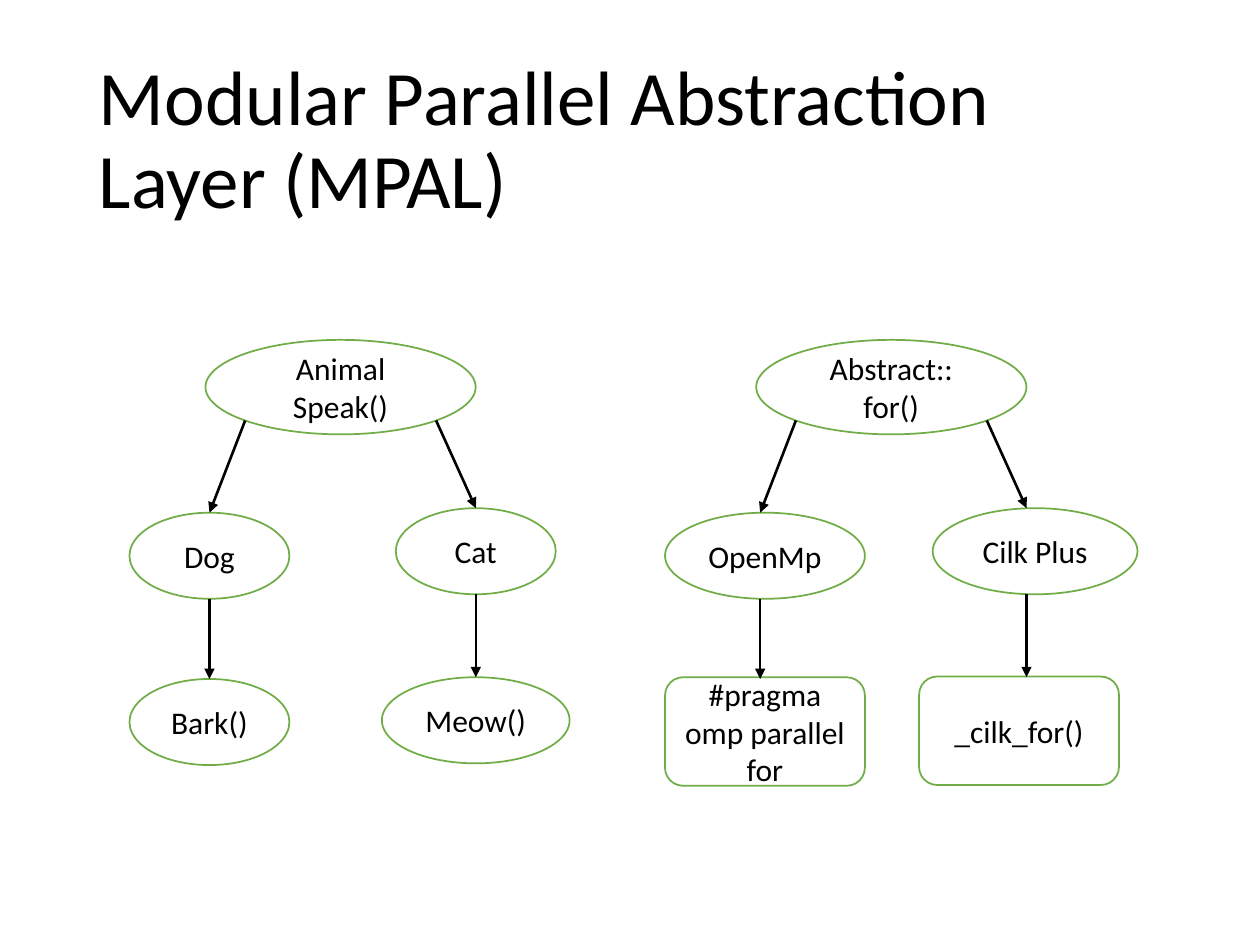
from lxml import etree
from pptx import Presentation
from pptx.dml.color import RGBColor
from pptx.enum import shapes, text
from pptx.oxml import ns
from pptx.util import Pt

FONT = "Calibri"
BLACK, WHITE, GREEN = "000000", "FFFFFF", "70AD47"
OVAL = shapes.MSO_SHAPE.OVAL
ROUNDED = shapes.MSO_SHAPE.ROUNDED_RECTANGLE
TREE_OFFSET = 314.7  # from the animal tree to the parallel tree

# Label, outline, left, top, width, height
NODES = [
    ("Animal Speak()", OVAL, 117.4, 194.2, 154.4, 54),
    ("Dog", OVAL, 74, 293, 91.4, 49.2),
    ("Cat", OVAL, 226.2, 290.4, 91.4, 49.2),
    ("Bark()", OVAL, 74, 388, 91.4, 49.2),
    ("Meow()", OVAL, 218.2, 387, 107.3, 49.2),
    ("Abstract:: for()", OVAL, 432.1, 194.2, 154.4, 54),
    ("OpenMp", OVAL, 380, 293, 114.2, 49.2),
    ("Cilk Plus", OVAL, 533, 290.4, 117, 49.2),
    ("#pragma omp parallel for", ROUNDED, 380, 387, 114.2, 62),
    ("_cilk_for()", ROUNDED, 525.2, 386.6, 114.2, 62),
]

# Start x, start y, end x, end y within the animal tree
BRANCHES = [
    (140.1, 240.3, 119.7, 293),
    (249.2, 240.3, 271.9, 290.4),
    (119.7, 342.2, 119.7, 388),
    (271.9, 339.6, 271.9, 387),
]


def color(hex_value):
    return RGBColor.from_string(hex_value)


def write(frame, words, size, align):
    frame.word_wrap = True
    frame.vertical_anchor = text.MSO_ANCHOR.MIDDLE
    frame.text = words
    paragraph = frame.paragraphs[0]
    paragraph.alignment = align
    font = paragraph.runs[0].font
    font.name, font.size = FONT, Pt(size)
    font.color.rgb = color(BLACK)
    return paragraph


def add_title(slide, words):
    title = slide.shapes.add_textbox(Pt(49.5), Pt(28.75), Pt(621), Pt(104.4))
    paragraph = write(title.text_frame, words, 44, text.PP_ALIGN.LEFT)
    paragraph.line_spacing = 0.9


def add_node(slide, label, outline, left, top, width, height):
    node = slide.shapes.add_shape(outline, Pt(left), Pt(top), Pt(width), Pt(height))
    node.shadow.inherit = False
    node.fill.solid()
    node.fill.fore_color.rgb = color(WHITE)
    node.line.color.rgb = color(GREEN)
    node.line.width = Pt(1)
    write(node.text_frame, label, 18, text.PP_ALIGN.CENTER)


def add_arrow(slide, x1, y1, x2, y2):
    arrow = slide.shapes.add_connector(
        shapes.MSO_CONNECTOR.STRAIGHT, Pt(x1), Pt(y1), Pt(x2), Pt(y2))
    arrow.line.color.rgb = color(BLACK)
    arrow.line.width = Pt(1.5)
    properties = arrow.element.spPr
    outline = properties.find(ns.qn("a:ln"))
    etree.SubElement(outline, ns.qn("a:tailEnd"), type="triangle")
    etree.SubElement(properties, ns.qn("a:effectLst"))


def main():
    deck = Presentation()
    deck.slide_width, deck.slide_height = Pt(720), Pt(540)
    slide = deck.slides.add_slide(deck.slide_layouts[6])
    add_title(slide, "Modular Parallel Abstraction Layer (MPAL)")
    for node in NODES:
        add_node(slide, *node)
    for offset in (0, TREE_OFFSET):
        for x1, y1, x2, y2 in BRANCHES:
            add_arrow(slide, x1 + offset, y1, x2 + offset, y2)
    deck.save("out.pptx")


if __name__ == "__main__":
    main()
